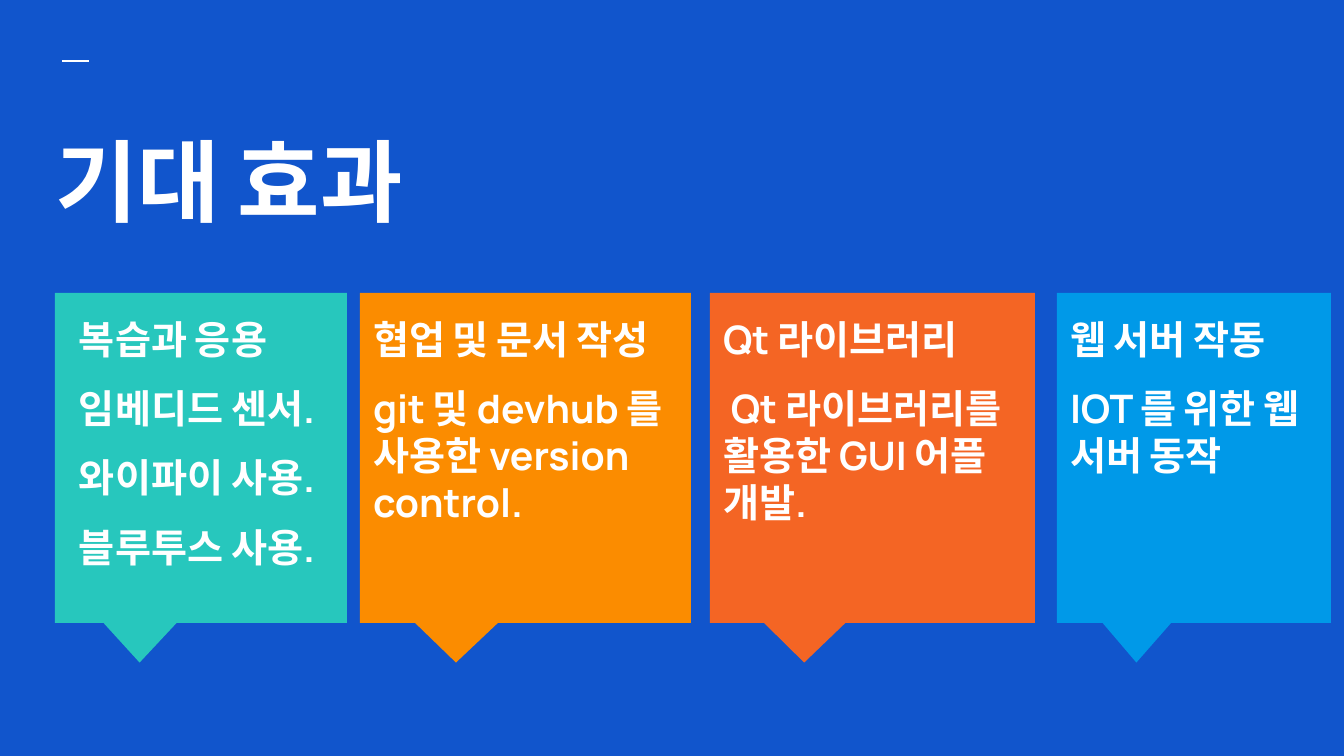
from dataclasses import dataclass

from lxml.etree import SubElement
from pptx import Presentation
from pptx.dml.color import RGBColor
from pptx.enum.shapes import MSO_CONNECTOR, MSO_SHAPE
from pptx.enum.text import MSO_ANCHOR
from pptx.oxml.ns import qn
from pptx.slide import Slide
from pptx.util import Emu, Pt

BLUE = RGBColor(0x11, 0x55, 0xCC)
WHITE = RGBColor(0xFF, 0xFF, 0xFF)
TEAL = RGBColor(0x27, 0xC7, 0xBD)
AMBER = RGBColor(0xFB, 0x8C, 0x00)
ORANGE = RGBColor(0xF4, 0x65, 0x24)
SKY = RGBColor(0x00, 0x99, 0xE8)

FONT = "Manrope"
EMU_PER_PX = 914400 / 134.4
INSET = 13
CARD_TOP, CARD_HEIGHT = 293, 330
TEXT_TOP, TEXT_HEIGHT = 302, 294
POINTER = (-0.21, 0.62)


@dataclass(frozen=True)
class Card:
    left: int
    width: int
    text_left: int
    text_width: int
    color: RGBColor
    lines: tuple[str, ...]


CARDS = (
    Card(55, 292, 66, 281, TEAL,
         ("복습과 응용", "임베디드 센서.", "와이파이 사용.", "블루투스 사용.")),
    Card(360, 331, 360, 364, AMBER,
         ("협업 및 문서 작성", "git 및 devhub 를 사용한 version control.")),
    Card(710, 325, 710, 364, ORANGE,
         ("Qt 라이브러리", " Qt 라이브러리를 활용한 GUI 어플 개발.")),
    Card(1057, 274, 1057, 264, SKY,
         ("웹 서버 작동", "IOT 를 위한 웹 서버 동작")),
)


def px(length: int) -> Emu:
    return Emu(round(length * EMU_PER_PX))


def add_text(slide: Slide, left: int, top: int, width: int, height: int,
             lines: tuple[str, ...], size: int, anchor: MSO_ANCHOR) -> None:
    frame = slide.shapes.add_textbox(px(left), px(top), px(width), px(height)).text_frame
    frame.word_wrap = True
    frame.vertical_anchor = anchor
    frame.margin_left = frame.margin_right = px(INSET)
    frame.margin_top = frame.margin_bottom = px(INSET)
    frame.text = "\n".join(lines)
    for index, paragraph in enumerate(frame.paragraphs):
        paragraph.line_spacing = Pt(size * 1.2)
        paragraph.space_before = Pt(12 if index else 0)
        for run in paragraph.runs:
            run.font.name = FONT
            run.font.size = Pt(size)
            run.font.bold = True
            run.font.color.rgb = WHITE
            for script in ("a:ea", "a:cs"):
                SubElement(run.font._element, qn(script), typeface=FONT)


def add_card(slide: Slide, card: Card) -> None:
    callout = slide.shapes.add_shape(
        MSO_SHAPE.RECTANGULAR_CALLOUT,
        px(card.left), px(CARD_TOP), px(card.width), px(CARD_HEIGHT))
    callout.adjustments[0], callout.adjustments[1] = POINTER
    callout.shadow.inherit = False
    callout.fill.solid()
    callout.fill.fore_color.rgb = card.color
    callout.line.fill.background()


def add_accent(slide: Slide) -> None:
    accent = slide.shapes.add_connector(
        MSO_CONNECTOR.STRAIGHT, px(62), px(61), px(89), px(61))
    accent.line.color.rgb = WHITE
    accent.line.width = Pt(1.5)
    SubElement(accent._element.spPr, qn("a:effectLst"))


def main() -> None:
    deck = Presentation()
    deck.slide_width, deck.slide_height = px(1344), px(756)
    slide = deck.slides.add_slide(deck.slide_layouts[6])
    slide.background.fill.solid()
    slide.background.fill.fore_color.rgb = BLUE
    add_accent(slide)
    add_text(slide, 42, 105, 1267, 150, ("기대 효과",), 48, MSO_ANCHOR.MIDDLE)
    for card in CARDS:
        add_card(slide, card)
        add_text(slide, card.text_left, TEXT_TOP, card.text_width, TEXT_HEIGHT,
                 card.lines, 21, MSO_ANCHOR.TOP)
    deck.save("out.pptx")


if __name__ == "__main__":
    main()
